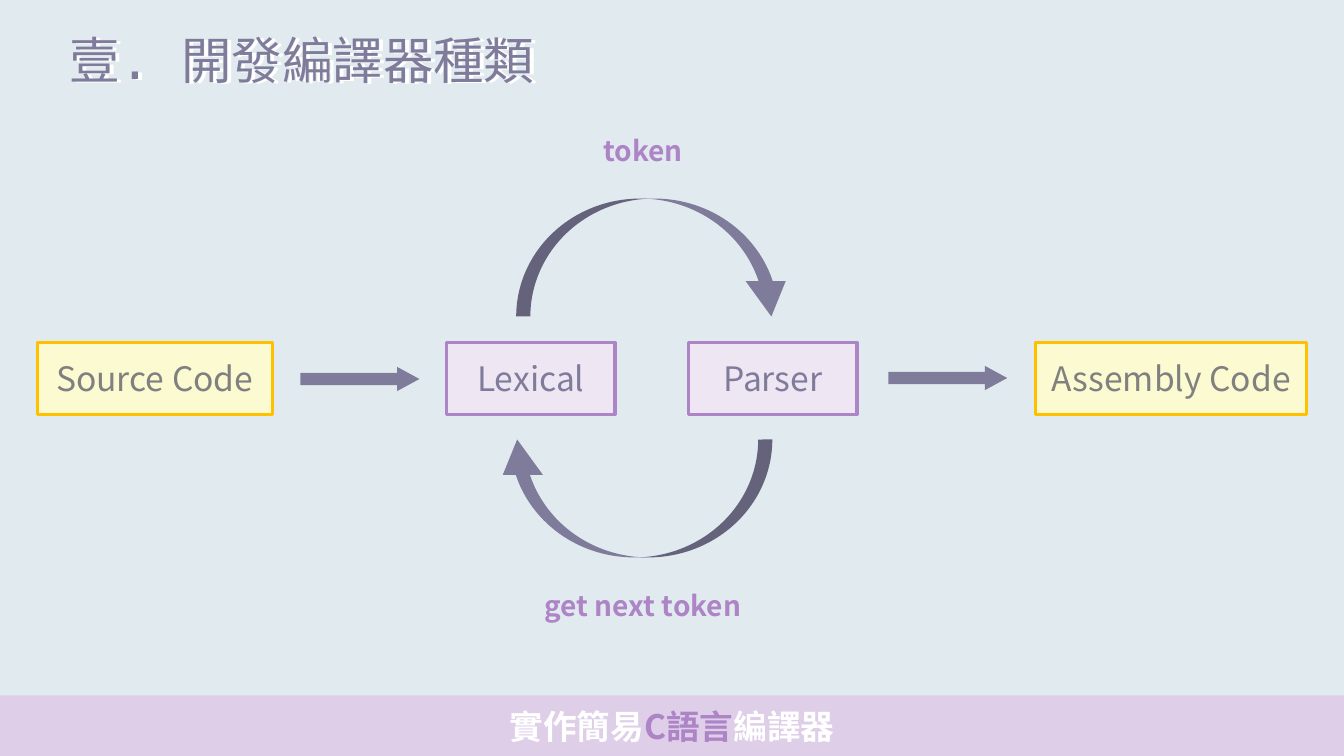
from lxml import etree
from pptx import Presentation
from pptx import util as u
from pptx.dml.color import RGBColor
from pptx.enum import shapes, text
from pptx.oxml.ns import qn

PX = 9144
LATIN = "Noto Sans CJK SC"
MONO = "DejaVu Sans Mono"

WHITE = RGBColor(0xFF, 0xFF, 0xFF)
SKY = RGBColor(0xE1, 0xEA, 0xEF)
LILAC = RGBColor(0xDE, 0xCE, 0xE8)
PALE_LILAC = RGBColor(0xEF, 0xE6, 0xF4)
PURPLE = RGBColor(0xAD, 0x84, 0xC6)
SLATE = RGBColor(0x7F, 0x7B, 0x9A)
CREAM = RGBColor(0xFB, 0xFA, 0xD1)
GOLD = RGBColor(0xFF, 0xC0, 0x00)
GREY = RGBColor(0x80, 0x80, 0x80)


class Painter:
    def __init__(self, page):
        self.page = page

    def place(self, *lengths):
        return [length * PX for length in lengths]

    def add_runs(self, frame, runs, size, bold=False, anchor=text.MSO_ANCHOR.TOP):
        frame.word_wrap = True
        frame.vertical_anchor = anchor
        para = frame.paragraphs[0]
        para.alignment = text.PP_ALIGN.CENTER
        for words, color, typeface in runs:
            span = para.add_run()
            span.text = words
            span.font.size = u.Pt(size)
            span.font.bold = bold
            span.font.color.rgb = color
            span.font.name = LATIN
            east = etree.SubElement(span.font._element, qn("a:ea"))
            east.set("typeface", typeface)
        return para

    def shape(self, kind, at, fill, line=None, rotation=0, adjust=()):
        box = self.page.shapes.add_shape(kind, *self.place(*at))
        box.shadow.inherit = False
        box.fill.solid()
        box.fill.fore_color.rgb = fill
        box.rotation = rotation
        for index, value in enumerate(adjust):
            box.adjustments[index] = value
        if line is None:
            box.line.fill.background()
        else:
            box.line.color.rgb = line
            box.line.width = u.Pt(2.25)
        return box

    def stage(self, words, left, width, fill, line, color):
        box = self.shape(shapes.MSO_SHAPE.RECTANGLE, (left, 340, width, 71), fill, line)
        self.add_runs(box.text_frame, [(words, color, LATIN)], 24, anchor=text.MSO_ANCHOR.MIDDLE)

    def straight_arrow(self, left, top):
        self.shape(shapes.MSO_SHAPE.DOWN_ARROW, (left, top, 24, 118), SLATE,
                   rotation=270, adjust=(0.5, 0.92))

    def curved_arrow(self, left, top, rotation):
        self.shape(shapes.MSO_SHAPE.CURVED_DOWN_ARROW, (left, top, 273, 117), SLATE,
                   rotation=rotation, adjust=(0.12, 0.34, 0.3))

    def label(self, at, runs, size):
        box = self.page.shapes.add_textbox(*self.place(*at))
        self.add_runs(box.text_frame, runs, size, bold=True)

    def heading(self, box, at, color):
        box.left, box.top, box.width, box.height = self.place(*at)
        frame = box.text_frame
        frame.auto_size = text.MSO_AUTO_SIZE.SHAPE_TO_FIT_TEXT
        para = self.add_runs(frame, [(" 開發編譯器種類", color, MONO)], 36)
        props = para._p.get_or_add_pPr()
        props.set("marL", str(81 * PX))
        props.set("indent", str(-81 * PX))
        numbering = etree.SubElement(props, qn("a:buAutoNum"))
        numbering.set("type", "ea1ChtPeriod")


def main():
    deck = Presentation()
    deck.slide_width, deck.slide_height = 1333 * PX, 750 * PX
    page = deck.slides.add_slide(deck.slide_layouts[5])
    page.background.fill.solid()
    page.background.fill.fore_color.rgb = LILAC
    painter = Painter(page)

    painter.shape(shapes.MSO_SHAPE.RECTANGLE, (0, 0, 1333, 690), SKY)
    painter.heading(page.shapes.add_textbox(0, 0, 0, 0), (45, 25, 517, 71), WHITE)
    title = page.shapes.title
    title.element.getparent().append(title.element)
    painter.heading(title, (58, 24, 483, 71), SLATE)

    painter.label((392, 695, 549, 50), [
        ("實作簡易", WHITE, MONO),
        ("C", PURPLE, LATIN),
        ("語言", PURPLE, MONO),
        ("編譯器", WHITE, MONO),
    ], 24)

    for words, left, width, fill, line, color in (
        ("Source Code", 37, 233, CREAM, GOLD, GREY),
        ("Lexical", 443, 167, PALE_LILAC, PURPLE, SLATE),
        ("Parser", 683, 167, PALE_LILAC, PURPLE, SLATE),
        ("Assembly Code", 1027, 269, CREAM, GOLD, GREY),
    ):
        painter.stage(words, left, width, fill, line, color)

    painter.straight_arrow(345, 317)
    painter.straight_arrow(928, 316)
    painter.curved_arrow(512, 197, 0)
    painter.curved_arrow(493, 436, 180)

    painter.label((527, 128, 222, 44), [("token", PURPLE, LATIN)], 20)
    painter.label((450, 579, 375, 44), [("get next token", PURPLE, LATIN)], 20)

    deck.save("out.pptx")


if __name__ == "__main__":
    main()
